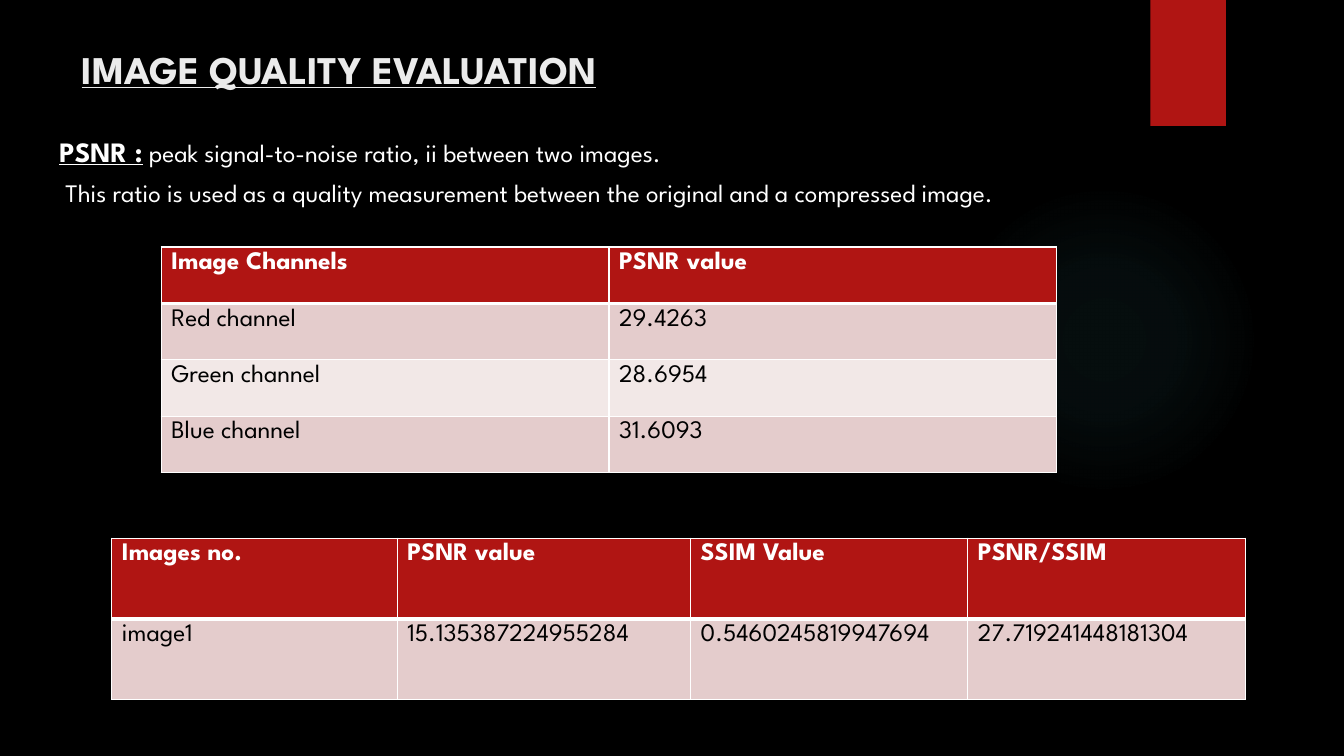
from lxml import etree
from pptx import Presentation
from pptx import util as u
from pptx.dml.color import RGBColor
from pptx.enum import shapes, text
from pptx.oxml import parse_xml
from pptx.oxml.ns import nsdecls, qn

RED, ROSE, PALE = "B01513", "E4CCCC", "F2E8E7"
WHITE, BLACK, OFF_WHITE, TEAL = "FFFFFF", "000000", "EBEBEB", "50B9C1"


def px(length):
    """Convert px, 100 to the inch, into EMU."""
    return u.Emu(length * 9144)


def color(value):
    return RGBColor.from_string(value)


class SlideBuilder:
    font_name = "League Spartan"
    font_size = 18

    def __init__(self, presentation, background):
        self.slide = presentation.slides.add_slide(presentation.slide_layouts[5])
        fill = self.slide.background.fill
        fill.solid()
        fill.fore_color.rgb = color(background)

    def style(self, font, ink, size=font_size, bold=False, underline=False):
        font.name = self.font_name
        font.size = u.Pt(size)
        font.bold = bold
        font.underline = underline
        font.color.rgb = color(ink)

    def shape(self, kind, box, fill):
        shape = self.slide.shapes.add_shape(kind, *map(px, box))
        shape.shadow.inherit = False
        shape.line.fill.background()
        shape.fill.solid()
        shape.fill.fore_color.rgb = color(fill)
        return shape

    def glow(self, box, tint, stops):
        """Add a circle whose tint fades outwards; stops are (position, opacity) in percent."""
        shape = self.shape(shapes.MSO_SHAPE.OVAL, box, tint)
        stop_xml = "".join(
            f'<a:gs pos="{position * 1000}"><a:srgbClr val="{tint}">'
            f'<a:alpha val="{opacity * 1000}"/></a:srgbClr></a:gs>'
            for position, opacity in stops)
        gradient = parse_xml(
            f'<a:gradFill {nsdecls("a")}><a:gsLst>{stop_xml}</a:gsLst><a:path path="circle">'
            '<a:fillToRect l="50000" t="50000" r="50000" b="50000"/></a:path></a:gradFill>')
        properties = shape.element.spPr
        properties.replace(properties.find(qn("a:solidFill")), gradient)

    def title(self, box, words):
        title = self.slide.shapes.title
        title.left, title.top, title.width, title.height = map(px, box)
        frame = title.text_frame
        frame.text = words
        frame.vertical_anchor = text.MSO_ANCHOR.MIDDLE
        paragraph = frame.paragraphs[0]
        paragraph.alignment = text.PP_ALIGN.LEFT
        self.style(paragraph.font, OFF_WHITE, 28, bold=True, underline=True)

    def definition(self, box, term, meaning, remark):
        frame = self.slide.shapes.add_textbox(*map(px, box)).text_frame
        frame.word_wrap = True
        first, second = frame.paragraphs[0], frame.add_paragraph()
        for paragraph in (first, second):
            paragraph.space_before = u.Pt(6)
            self.style(paragraph.font, WHITE)
        run = first.add_run()
        run.text = term
        self.style(run.font, WHITE, 20, bold=True, underline=True)
        first.add_run().text = " " + meaning
        second.text = remark
        second._p.get_or_add_pPr().set("marL", str(px(6)))

    def borders(self, cell, **widths):
        properties = cell._tc.get_or_add_tcPr()
        for index, side in enumerate("LRTB"):
            line = etree.Element(qn(f"a:ln{side}"), w=str(u.Pt(widths.get(side, 1))))
            fill = etree.SubElement(line, qn("a:solidFill"))
            etree.SubElement(fill, qn("a:srgbClr"), val=WHITE)
            properties.insert(index, line)

    def table(self, left, top, column_widths, row_height, rows):
        table = self.slide.shapes.add_table(
            len(rows), len(column_widths), px(left), px(top),
            px(sum(column_widths)), px(row_height * len(rows))).table
        for column, width in zip(table.columns, column_widths):
            column.width = px(width)
        for row_index, row in enumerate(rows):
            header = row_index == 0
            for column_index, words in enumerate(row):
                cell = table.cell(row_index, column_index)
                cell.text = words
                cell.fill.solid()
                cell.fill.fore_color.rgb = color(
                    RED if header else ROSE if row_index % 2 else PALE)
                self.style(cell.text_frame.paragraphs[0].font,
                           WHITE if header else BLACK, bold=header)
                self.borders(cell, T=3 if row_index == 1 else 1, B=3 if header else 1)


def main():
    presentation = Presentation()
    presentation.slide_width, presentation.slide_height = px(1333), px(750)
    builder = SlideBuilder(presentation, BLACK)
    builder.glow((941, 183, 308, 308), TEAL, [(0, 7), (36, 6), (69, 0)])
    builder.shape(shapes.MSO_SHAPE.RECTANGLE, (1141, 0, 75, 125), RED)
    builder.title((71, 33, 1029, 71), "IMAGE QUALITY EVALUATION")
    builder.table(111, 534, [283, 291, 275, 275], 80, [
        ["Images no.", "PSNR value", "SSIM Value", "PSNR/SSIM"],
        ["image1", "15.135387224955284", "0.5460245819947694", "27.719241448181304"],
    ])
    builder.table(160, 245, [444, 444], 56, [
        ["Image Channels", "PSNR value"],
        ["Red channel", "29.4263"],
        ["Green channel", "28.6954"],
        ["Blue channel", "31.6093"],
    ])
    builder.definition(
        (49, 129, 1145, 74), "PSNR :",
        "peak signal-to-noise ratio, ii between two images.",
        "This ratio is used as a quality measurement between the original "
        "and a compressed image.")
    presentation.save("out.pptx")


if __name__ == "__main__":
    main()
